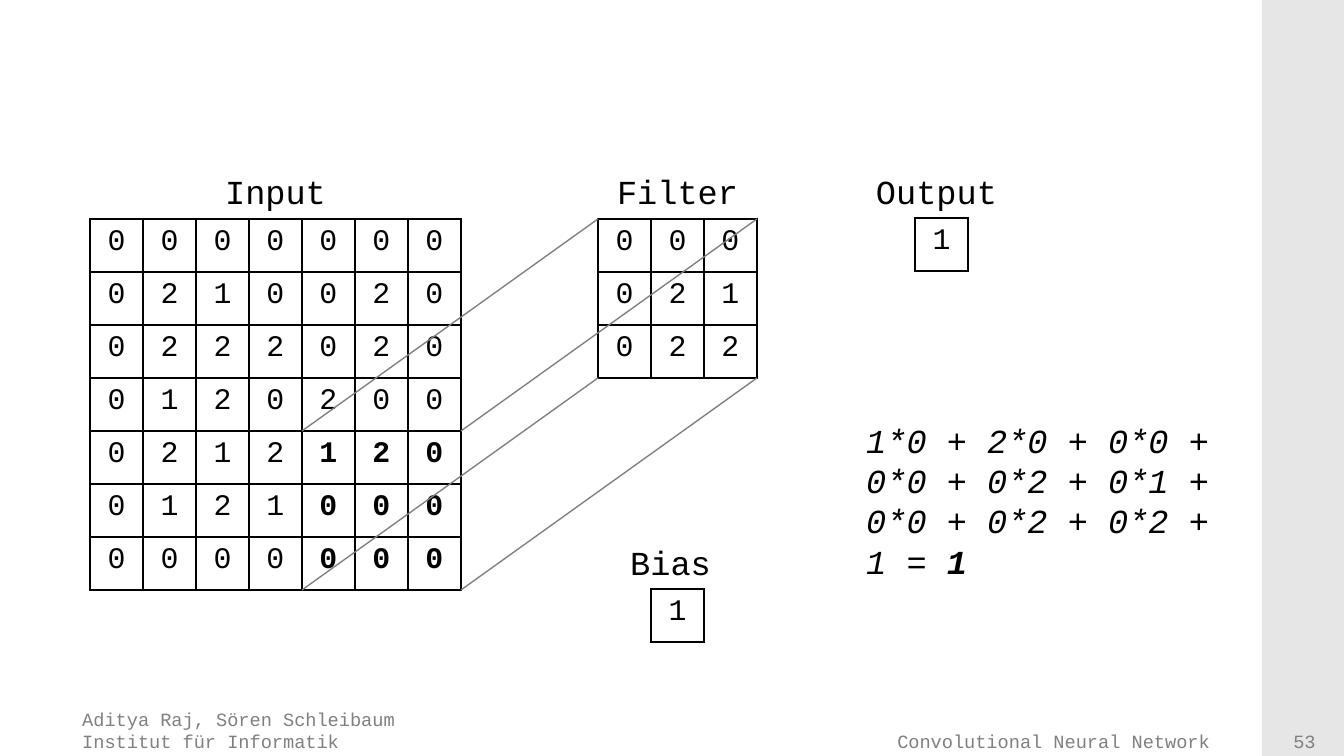
from dataclasses import dataclass

from lxml import etree
from pptx import Presentation
from pptx.dml.color import RGBColor
from pptx.enum.shapes import MSO_CONNECTOR, MSO_SHAPE
from pptx.enum.text import MSO_ANCHOR, PP_ALIGN
from pptx.oxml.ns import qn
from pptx.util import Emu, Pt

LEFT, CENTER, RIGHT = PP_ALIGN.LEFT, PP_ALIGN.CENTER, PP_ALIGN.RIGHT
TOP, BOTTOM = MSO_ANCHOR.TOP, MSO_ANCHOR.BOTTOM
RECTANGLE = MSO_SHAPE.RECTANGLE
STRAIGHT = MSO_CONNECTOR.STRAIGHT

BLACK = RGBColor(0x00, 0x00, 0x00)
GRAY = RGBColor(0x80, 0x80, 0x80)
LIGHT_GRAY = RGBColor(0xE6, 0xE6, 0xE6)
FONT = "Courier New"
PIXEL = 914400 / 134.4
CELL = 53
WINDOW = 3


def px(length: int) -> Emu:
    return Emu(round(length * PIXEL))


@dataclass(frozen=True)
class Label:
    left: int
    top: int
    width: int
    height: int
    lines: tuple[str, ...]
    size: int = 18
    color: RGBColor = BLACK
    align: PP_ALIGN = CENTER
    anchor: MSO_ANCHOR = TOP
    italic: bool = False
    bold_ending: str = ""


@dataclass(frozen=True)
class Matrix:
    left: int
    top: int
    rows: tuple[str, ...]
    bold_from: int = 99

    def corner(self, column: int, row: int) -> tuple[int, int]:
        return self.left + column * CELL, self.top + row * CELL


INPUT = Matrix(90, 219, ("0000000", "0210020", "0222020", "0120200",
                         "0212120", "0121000", "0000000"), bold_from=4)
FILTER = Matrix(598, 219, ("000", "021", "022"))
OUTPUT = Matrix(915, 218, ("1",))
BIAS = Matrix(651, 589, ("1",))

FOOTERS = (
    Label(69, 700, 571, 59, ("Aditya Raj, Sören Schleibaum", "Institut für Informatik"),
          10, GRAY, LEFT, BOTTOM),
    Label(652, 705, 582, 54, ("Convolutional Neural Network ",), 10, GRAY, RIGHT, BOTTOM),
    Label(1270, 723, 69, 36, ("53",), 10, GRAY, CENTER, BOTTOM),
)
LABELS = (
    Label(90, 164, 371, 54, ("Input",)),
    Label(598, 164, 159, 54, ("Filter",)),
    Label(852, 164, 169, 54, ("Output",)),
    Label(853, 413, 372, 176,
          ("1*0 + 2*0 + 0*0 + ", "0*0 + 0*2 + 0*1 +", "0*0 + 0*2 + 0*2 +", "1 = "),
          align=LEFT, italic=True, bold_ending="1"),
    Label(591, 535, 159, 54, ("Bias",)),
)


def add_span(para, text: str, color: RGBColor, values: dict) -> None:
    span = para.add_run()
    span.text = text
    for name, value in {"name": FONT, **values}.items():
        setattr(span.font, name, value)
    span.font.color.rgb = color


def add_label(page, label: Label) -> None:
    box = page.shapes.add_textbox(*map(px, (label.left, label.top, label.width, label.height)))
    frame = box.text_frame
    for name, value in {"word_wrap": True, "vertical_anchor": label.anchor}.items():
        setattr(frame, name, value)
    values = {"size": Pt(label.size), "italic": label.italic}
    for index, line in enumerate(label.lines):
        para = frame.add_paragraph() if index else frame.paragraphs[0]
        para.alignment = label.align
        add_span(para, line, label.color, values)
    if label.bold_ending:
        add_span(para, label.bold_ending, label.color, {**values, "bold": True})


def add_borders(cell) -> None:
    properties = cell._tc.get_or_add_tcPr()
    for index, side in enumerate(("lnL", "lnR", "lnT", "lnB")):
        border = etree.Element(qn(f"a:{side}"), w=str(Pt(1)))
        fill = etree.SubElement(border, qn("a:solidFill"))
        etree.SubElement(fill, qn("a:srgbClr"), val=str(BLACK))
        properties.insert(index, border)


def add_matrix(page, matrix: Matrix) -> None:
    row_count, column_count = len(matrix.rows), len(matrix.rows[0])
    table = page.shapes.add_table(
        row_count, column_count, px(matrix.left), px(matrix.top),
        px(column_count * CELL), px(row_count * CELL)).table
    for name in ("first_row", "horz_banding"):
        setattr(table, name, False)
    for column in table.columns:
        column.width = px(CELL)
    for row in table.rows:
        row.height = px(CELL)
    for row_index, digits in enumerate(matrix.rows):
        for column_index, digit in enumerate(digits):
            cell = table.cell(row_index, column_index)
            cell.fill.background()
            add_borders(cell)
            para = cell.text_frame.paragraphs[0]
            para.alignment = CENTER
            bold = min(row_index, column_index) >= matrix.bold_from
            add_span(para, digit, BLACK, {"size": Pt(16), "bold": bold})


def add_line(page, start: tuple[int, int], end: tuple[int, int]) -> None:
    line = page.shapes.add_connector(STRAIGHT, *map(px, start + end))
    line.line.color.rgb = GRAY
    line.line.width = Pt(0.75)
    etree.SubElement(line._element.spPr, qn("a:effectLst"))


def add_side_bar(page) -> None:
    bar = page.shapes.add_shape(RECTANGLE, *map(px, (1262, 0, 82, 756)))
    bar.shadow.inherit = False
    bar.fill.solid()
    bar.fill.fore_color.rgb = LIGHT_GRAY
    bar.line.fill.background()


def main() -> None:
    deck = Presentation()
    deck.slide_width, deck.slide_height = px(1344), px(756)
    page = deck.slides.add_slide(deck.slide_layouts[6])
    add_side_bar(page)
    for footer in FOOTERS:
        add_label(page, footer)
    for matrix in (INPUT, FILTER, OUTPUT):
        add_matrix(page, matrix)
    for row in (0, WINDOW):
        for column in (0, WINDOW):
            start = INPUT.corner(INPUT.bold_from + column, INPUT.bold_from + row)
            add_line(page, start, FILTER.corner(column, row))
    for label in LABELS:
        add_label(page, label)
    add_matrix(page, BIAS)
    deck.save("out.pptx")


main()
